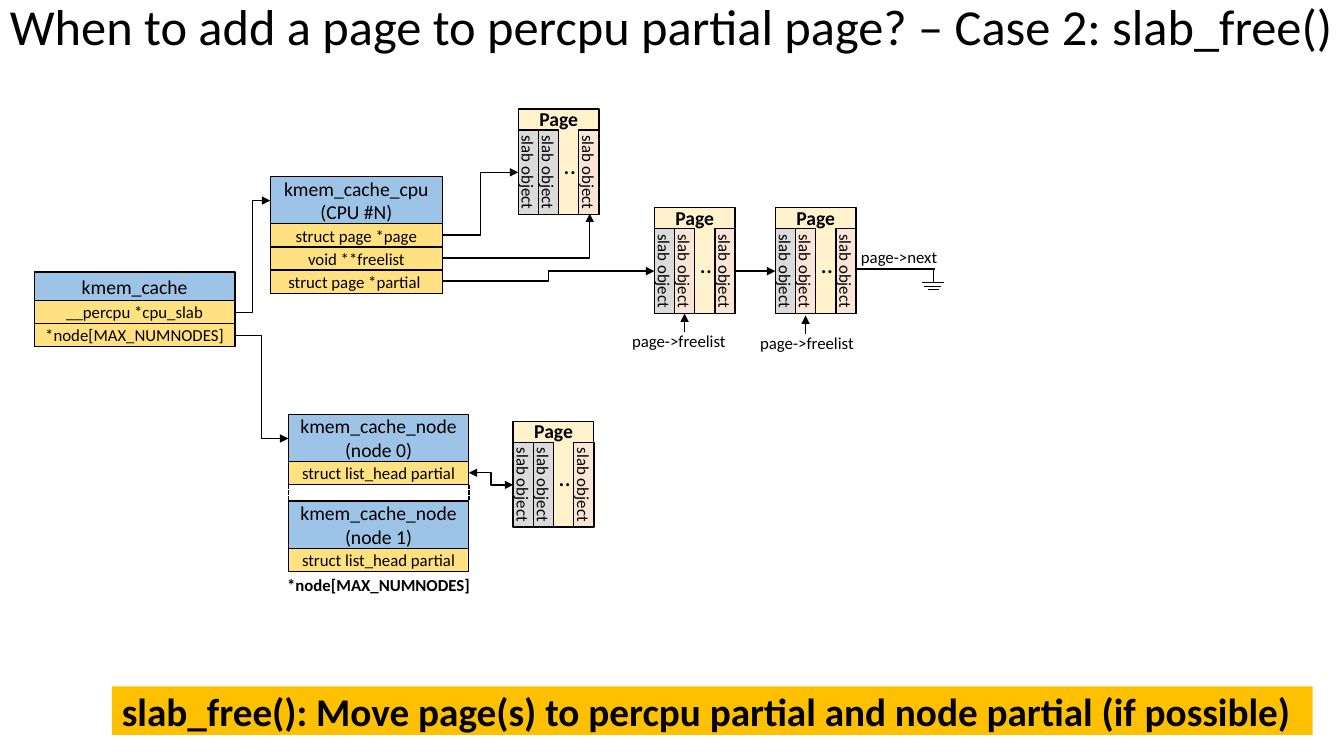
"""Builds the slab_free() percpu partial page slide."""
from dataclasses import dataclass

from lxml import etree
from pptx import Presentation
from pptx.dml.color import RGBColor
from pptx.enum.dml import MSO_LINE
from pptx.enum.shapes import MSO_CONNECTOR, MSO_SHAPE
from pptx.enum.text import MSO_ANCHOR, PP_ALIGN
from pptx.oxml.ns import qn
from pptx.util import Inches, Pt

RECT = MSO_SHAPE.RECTANGLE
STRAIGHT, ELBOW = MSO_CONNECTOR.STRAIGHT, MSO_CONNECTOR.ELBOW
LEFT, CENTER = PP_ALIGN.LEFT, PP_ALIGN.CENTER
TOP, MIDDLE = MSO_ANCHOR.TOP, MSO_ANCHOR.MIDDLE
DASH = MSO_LINE.SQUARE_DOT


@dataclass(frozen=True)
class Theme:
    """Colours, font and type sizes of the slide."""
    font: str = "Calibri"
    ink: str = "000000"
    struct: str = "9DC3E6"
    field: str = "FFE181"
    page: str = "FFF2CC"
    used: str = "DBDBDB"
    free: str = "FBE5D6"
    banner: str = "FFC000"
    title_size: int = 36
    banner_size: int = 28
    dots_size: int = 18
    head_size: int = 14
    body_size: int = 12
    line: int = 1


THEME = Theme()
FIELD_HEIGHT = 0.23
PAGE_WIDTH, PAGE_HEIGHT = 0.8, 1.05
SLAB_WIDTH, SLAB_HEIGHT = 0.2, 0.84


def rgb(code):
    """Turn a hex code into a colour."""
    return RGBColor.from_string(code)


def write(shape, lines, size, bold=False, align=LEFT, anchor=TOP, insets=(0.1, 0.05)):
    """Fill a shape with one paragraph of lines."""
    frame = shape.text_frame
    frame.word_wrap = True
    frame.vertical_anchor = anchor
    frame.margin_left = frame.margin_right = Inches(insets[0])
    frame.margin_top = frame.margin_bottom = Inches(insets[1])
    paragraph = frame.paragraphs[0]
    paragraph.alignment = align
    for index, line in enumerate(lines):
        if index:
            paragraph.add_line_break()
        run = paragraph.add_run()
        run.text = line
        run.font.name = THEME.font
        run.font.size = Pt(size)
        run.font.bold = bold
        run.font.color.rgb = rgb(THEME.ink)
    return paragraph


def add_label(shapes, left, top, width, height, text, size=THEME.body_size, **style):
    """Add free text and return its paragraph."""
    box = shapes.add_textbox(Inches(left), Inches(top), Inches(width), Inches(height))
    return write(box, [text], size, **style)


def add_box(shapes, left, top, width, height, fill, outlined=True):
    """Add a filled rectangle."""
    box = shapes.add_shape(RECT, Inches(left), Inches(top), Inches(width), Inches(height))
    box.shadow.inherit = False
    box.fill.solid()
    box.fill.fore_color.rgb = rgb(fill)
    if outlined:
        box.line.color.rgb = rgb(THEME.ink)
        box.line.width = Pt(THEME.line)
    else:
        box.line.fill.background()
    return box


def add_link(shapes, start, end, kind=STRAIGHT, ends=("tailEnd",), dash=None, preset=None):
    """Add a line with arrowheads at the named ends."""
    link = shapes.add_connector(kind, *(Inches(value) for value in (*start, *end)))
    link.line.color.rgb = rgb(THEME.ink)
    link.line.width = Pt(THEME.line)
    if dash:
        link.line.dash_style = dash
    properties = link.element.spPr
    for name in ends:
        etree.SubElement(properties.find(qn("a:ln")), qn(f"a:{name}"), type="triangle")
    etree.SubElement(properties, qn("a:effectLst"))
    if preset:
        properties.find(qn("a:prstGeom")).set("prst", preset)


def add_struct(shapes, left, top, width, head_height, names, fields, inset):
    """Add a struct: a header above a stack of fields."""
    header = add_box(shapes, left, top, width, head_height, THEME.struct)
    write(header, names, THEME.head_size, align=CENTER, anchor=MIDDLE, insets=(inset, 0.05))
    for row, text in enumerate(fields):
        field_top = top + head_height + row * FIELD_HEIGHT
        field = add_box(shapes, left, field_top, width, FIELD_HEIGHT, THEME.field)
        write(field, [text], THEME.body_size, align=CENTER, anchor=MIDDLE)


def add_page(slide, left, top, second_fill):
    """Add a page holding three upright slab objects."""
    shapes = slide.shapes.add_group_shape().shapes
    add_box(shapes, left, top, PAGE_WIDTH, PAGE_HEIGHT, THEME.page)
    for column, fill in ((0, THEME.used), (1, second_fill), (3, THEME.free)):
        center_x = left + (column + 0.5) * SLAB_WIDTH
        center_y = top + PAGE_HEIGHT - SLAB_HEIGHT / 2
        slab = add_box(shapes, center_x - SLAB_HEIGHT / 2, center_y - SLAB_WIDTH / 2,
                       SLAB_HEIGHT, SLAB_WIDTH, fill)
        slab.rotation = 90
        write(slab, ["slab object"], THEME.body_size, align=CENTER, anchor=MIDDLE,
              insets=(0.05, 0))
    add_label(shapes, left + 0.35, top + 0.35, 0.44, 0.4, "..", THEME.dots_size)
    add_label(shapes, left + 0.11, top - 0.07, 0.61, 0.34, "Page", THEME.head_size, bold=True)


def add_ground(slide):
    """Add the ground symbol that ends the page list."""
    shapes = slide.shapes.add_group_shape().shapes
    add_link(shapes, (9.26, 2.67), (9.26, 2.8), ends=())
    for left, right, y in ((9.14, 9.36, 2.8), (9.16, 9.33, 2.84), (9.2, 9.31, 2.87)):
        add_link(shapes, (left, y), (right, y), ends=())


def add_structs(shapes):
    """Add the cache, its cpu slab and its nodes."""
    add_struct(shapes, 0.34, 2.7, 1.99, 0.28, ["kmem_cache"],
               ["__percpu *cpu_slab", "*node[MAX_NUMNODES]"], 0)
    add_struct(shapes, 2.68, 1.75, 1.71, 0.47, ["kmem_cache_cpu", "(CPU #N)"],
               ["struct page *page", "void **freelist", "struct page *partial "], 0.01)
    for node, top in enumerate((4.11, 4.97)):
        add_struct(shapes, 2.86, top, 1.79, 0.47, ["kmem_cache_node", f"(node {node})"],
                   ["struct list_head partial"], 0.05)
    for x in (2.86, 4.65):
        add_link(shapes, (x, 4.81), (x, 4.97), ends=(), dash=DASH)
    add_label(shapes, 2.68, 5.65, 2.15, 0.3, "*node[MAX_NUMNODES]", bold=True, align=CENTER)


def add_pointers(shapes):
    """Add the arrows between structs and pages, with their labels."""
    for start, end in (((2.33, 3.1), (2.68, 1.99)), ((2.33, 3.33), (2.86, 4.35)),
                       ((4.39, 2.33), (5.14, 1.71)), ((4.39, 2.79), (6.49, 2.69))):
        add_link(shapes, start, end, ELBOW)
    add_link(shapes, (4.65, 4.69), (5.09, 4.81), ELBOW, ends=("headEnd", "tailEnd"))
    add_link(shapes, (4.39, 2.56), (5.85, 2.12), ELBOW, preset="bentConnector2")
    add_link(shapes, (7.29, 2.69), (7.69, 2.69))
    add_link(shapes, (8.5, 2.67), (9.27, 2.67), ends=())
    add_label(shapes, 8.44, 2.4, 1.08, 0.3, "page->next")
    for x, tip, label_left in ((6.79, 3.11, 6.17), (7.99, 3.13, 7.44)):
        add_link(shapes, (x, tip + 0.18), (x, tip))
        add_label(shapes, label_left, tip + 0.12, 1.21, 0.3, "page->freelist")


def main():
    """Build and save the slide."""
    deck = Presentation()
    deck.slide_width, deck.slide_height = Inches(13.33), Inches(7.5)
    slide = deck.slides.add_slide(deck.slide_layouts[6])
    shapes = slide.shapes
    title = add_label(shapes, 0, -0.09, 13.41, 0.75,
                      "When to add a page to percpu partial page? – Case 2: slab_free()",
                      THEME.title_size, anchor=MIDDLE)
    title.line_spacing = 0.9
    add_structs(shapes)
    for left, top, second_fill in ((5.14, 1.08, THEME.used), (5.09, 4.18, THEME.used),
                                   (6.49, 2.06, THEME.free), (7.69, 2.06, THEME.free)):
        add_page(slide, left, top, second_fill)
    add_ground(slide)
    add_pointers(shapes)
    banner = add_box(shapes, 1.11, 6.81, 11.91, 0.48, THEME.banner, outlined=False)
    write(banner, ["slab_free(): Move page(s) to percpu partial and node partial (if possible)"],
          THEME.banner_size, bold=True, anchor=MIDDLE)
    deck.save("out.pptx")


if __name__ == "__main__":
    main()
